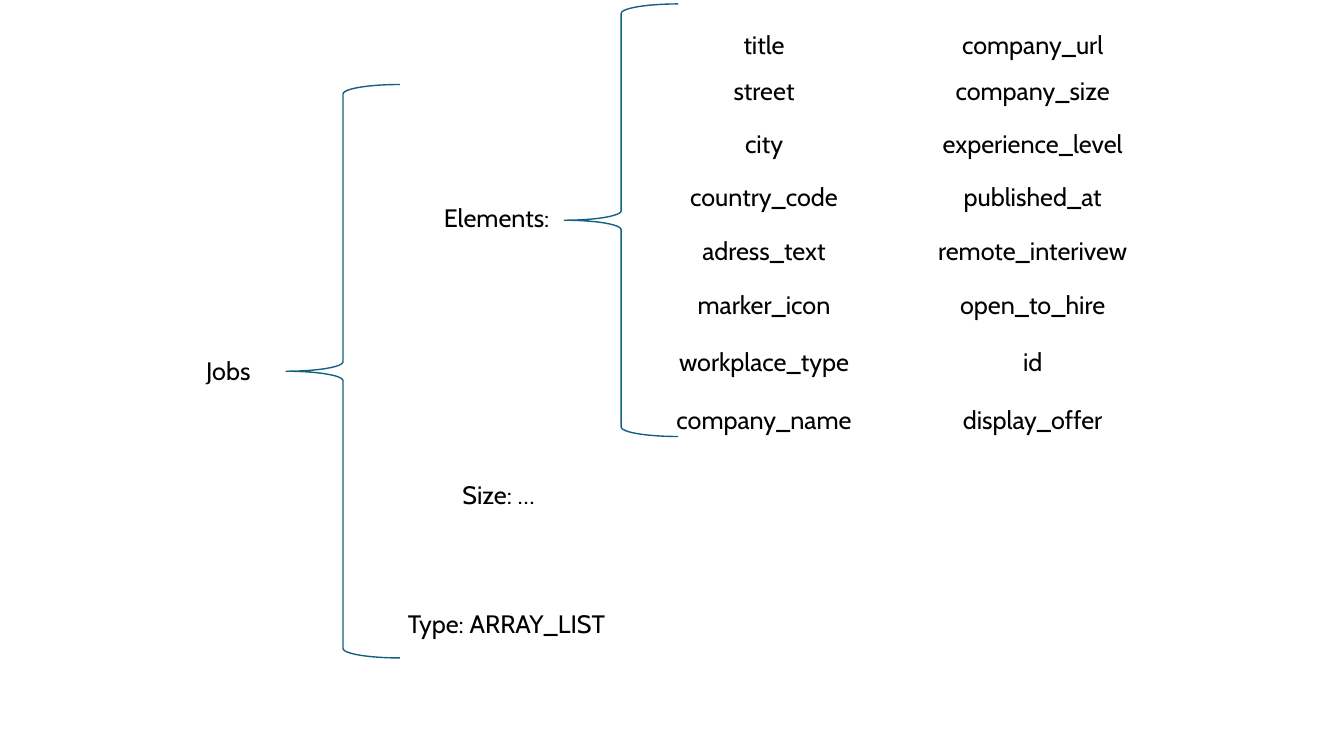
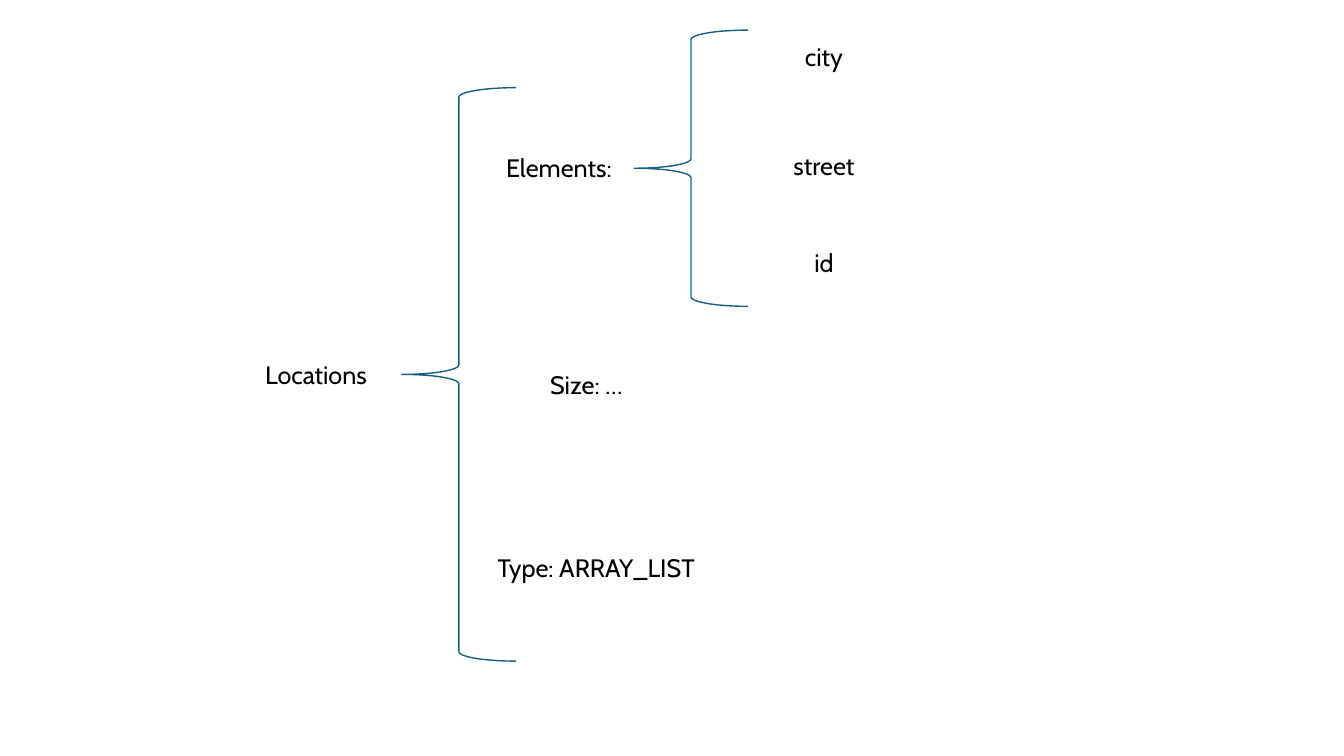
"""Build two brace diagrams that show the fields of the Jobs and Locations lists."""
from dataclasses import dataclass

from pptx import Presentation
from pptx.dml.color import RGBColor
from pptx.enum.shapes import MSO_SHAPE
from pptx.enum.text import MSO_AUTO_SIZE, PP_ALIGN
from pptx.util import Cm, Pt


@dataclass(frozen=True)
class Theme:
    font: str = "Cabin"
    size: Pt = Pt(18)
    text: RGBColor = RGBColor(0x00, 0x00, 0x00)
    brace: RGBColor = RGBColor(0x15, 0x60, 0x82)
    brace_line: Pt = Pt(1)
    brace_width: Cm = Cm(2.87)
    label_width: Cm = Cm(7.65)
    label_height: Cm = Cm(1.02)


THEME = Theme()


def add_label(page, text, left, top, *, size=THEME.size, color=THEME.text, align=PP_ALIGN.CENTER):
    box = page.shapes.add_textbox(Cm(left), Cm(top), THEME.label_width, THEME.label_height)
    box.text_frame.word_wrap = True
    box.text_frame.auto_size = MSO_AUTO_SIZE.SHAPE_TO_FIT_TEXT
    para = box.text_frame.paragraphs[0]
    para.alignment = align
    span = para.add_run()
    span.text = text
    span.font.name = THEME.font
    span.font.size = size
    span.font.color.rgb = color


def add_brace(page, left, top, height):
    brace = page.shapes.add_shape(
        MSO_SHAPE.LEFT_BRACE, Cm(left), Cm(top), THEME.brace_width, Cm(height))
    brace.shadow.inherit = False
    brace.fill.background()
    brace.line.color.rgb = THEME.brace
    brace.line.width = THEME.brace_line


DIAGRAMS = [
    {
        "labels": [("Jobs", 1.93, 8.84), ("Elements:", 8.69, 4.98),
                   ("Size: …", 8.74, 11.96), ("Type: ARRAY_LIST", 8.94, 15.21)],
        "braces": [(7.21, 2.13, 14.45), (14.22, 0.1, 10.9)],
        "row_tops": [0.61, 1.78, 3.1, 4.45, 5.8, 7.16, 8.61, 10.06],
        "columns": [
            (15.43, ["title", "street", "city", "country_code", "adress_text",
                     "marker_icon", "workplace_type", "company_name"]),
            (22.2, ["company_url", "company_size", "experience_level", "published_at",
                    "remote_interivew", "open_to_hire", "id", "display_offer"]),
        ],
    },
    {
        "labels": [("Locations", 4.14, 8.92), ("Elements:", 10.26, 3.71),
                   ("Size: …", 10.95, 9.17), ("Type: ARRAY_LIST", 11.2, 13.79)],
        "braces": [(10.13, 2.21, 14.45), (15.98, 0.76, 6.96)],
        "row_tops": [0.91, 3.66, 6.12],
        "columns": [(16.94, ["city", "street", "id"])],
    },
]

deck = Presentation()
deck.slide_width, deck.slide_height = Cm(33.87), Cm(19.05)
blank_layout = deck.slide_layouts.get_by_name("Blank")

for diagram in DIAGRAMS:
    page = deck.slides.add_slide(blank_layout)
    for left, top, height in diagram["braces"]:
        add_brace(page, left, top, height)
    for text, left, top in diagram["labels"]:
        add_label(page, text, left, top)
    for left, fields in diagram["columns"]:
        for field, top in zip(fields, diagram["row_tops"]):
            add_label(page, field, left, top)

deck.save("out.pptx")
